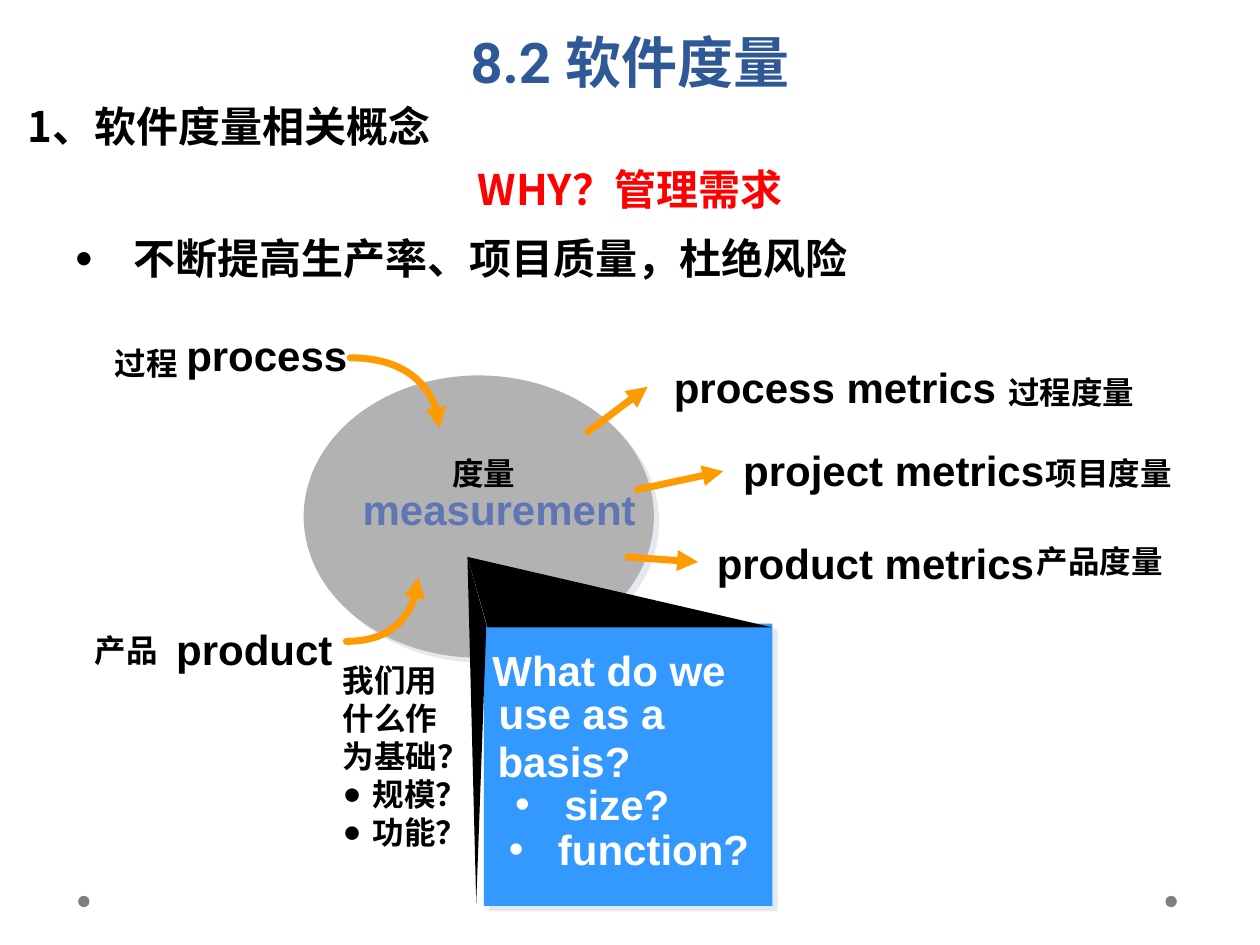
from lxml.etree import SubElement
from pptx import Presentation
from pptx.dml.color import RGBColor
from pptx.enum.shapes import MSO_CONNECTOR, MSO_SHAPE
from pptx.enum.text import MSO_ANCHOR, PP_ALIGN
from pptx.oxml.ns import qn
from pptx.util import Inches, Pt

BLACK = RGBColor(0, 0, 0)
WHITE = RGBColor(255, 255, 255)
RED = RGBColor(255, 0, 0)
NAVY = RGBColor(0x2F, 0x58, 0x97)
SLATE = RGBColor(0x60, 0x76, 0xB4)
ORANGE = RGBColor(0xFE, 0x9B, 0x03)
GRAY = RGBColor(0xB2, 0xB2, 0xB2)
DOT_GRAY = RGBColor(0x7F, 0x7F, 0x7F)
BLUE = RGBColor(0x33, 0x99, 0xFF)
SHADOW = "E4E9EF"
CHINESE_FONT = "Noto Sans CJK SC"

# Content: text, left, top, width, colour
ENGLISH_LABELS = [
    ("process", 1.38, 2.57, 1.48, BLACK),
    ("product", 1.3, 4.9, 1.44, BLACK),
    ("measurement", 2.78, 3.79, 2.37, SLATE),
    ("process metrics", 5.25, 2.82, 2.76, BLACK),
    ("project metrics", 5.8, 3.48, 2.59, BLACK),
    ("product metrics", 5.59, 4.22, 2.72, BLACK),
    ("What do we", 3.81, 5.07, 2.05, WHITE),
    ("use as a", 3.86, 5.41, 1.6, WHITE),
    ("basis?", 3.85, 5.79, 1.35, WHITE),
]
BASIS_BULLETS = [("size?", 3.81, 6.13, 1.65), ("function?", 3.76, 6.49, 2.3)]
CHINESE_LABELS = [
    ("过程", 0.91, 2.73),
    ("产品", 0.75, 5.01),
    ("度量", 3.59, 3.6),
    ("过程度量", 8, 2.96),
    ("项目度量", 8.3, 3.6),
    ("产品度量", 8.23, 4.3),
]
QUESTION_LINES = ["我们用", "什么作", "为基础？"]
QUESTION_BULLETS = ["规模？", "功能？"]

# Shapes, in inches
DOTS = [(9.25, 7.11), (0.62, 7.11)]
STRAIGHT_ARROWS = [
    ((4.65, 3.44), (5.14, 3.07)),
    ((5.04, 3.89), (5.74, 3.74)),
    ((4.96, 4.42), (5.54, 4.46)),
]
CURVED_ARROWS = [  # start, two control points, end
    [(2.78, 2.84), (3.17, 2.84), (3.49, 3.09), (3.49, 3.4)],
    [(2.75, 5.09), (3.07, 5.09), (3.32, 4.86), (3.32, 4.58)],
]
CALLOUT_SIDES = [
    [(3.71, 4.42), (6.13, 4.98), (3.87, 4.98)],
    [(3.71, 4.42), (3.78, 7.17), (3.86, 4.96)],
]

deck = Presentation()
deck.slide_width, deck.slide_height = Inches(10), Inches(7.5)
page = deck.slides.add_slide(deck.slide_layouts[5])
shapes = page.shapes


def style(para, size, color, font="Arial"):
    for span in para.runs:
        span.font.size, span.font.bold, span.font.name = Pt(size), True, font
        span.font.color.rgb = color
        SubElement(span._r.get_or_add_rPr(), qn("a:ea"), typeface=CHINESE_FONT)


def bullet(para, char, margin, hanging, percent=100):
    properties = para._p.get_or_add_pPr()
    properties.set("marL", str(Inches(margin)))
    properties.set("indent", str(-Inches(hanging)))
    SubElement(SubElement(properties, qn("a:buClr")), qn("a:srgbClr"),
               val=str(para.runs[0].font.color.rgb))
    SubElement(properties, qn("a:buSzPct"), val=str(percent * 1000))
    SubElement(properties, qn("a:buFont"), typeface="Arial")
    SubElement(properties, qn("a:buChar"), char=char)


def add_text(lines, left, top, width, height, size, color, font="Arial",
             wrap=False, inset=True):
    box = shapes.add_textbox(Inches(left), Inches(top), Inches(width), Inches(height))
    frame = box.text_frame
    frame.word_wrap = wrap
    if not inset:
        frame.margin_left = frame.margin_right = 0
        frame.margin_top = frame.margin_bottom = 0
    frame.text = "\n".join(lines)
    for para in frame.paragraphs:
        style(para, size, color, font)
    return frame.paragraphs


def paint(shape, color):
    shape.shadow.inherit = False
    shape.fill.solid()
    shape.fill.fore_color.rgb = color
    shape.line.fill.background()


def add_filled(kind, left, top, width, height, color, shadow=False):
    shape = shapes.add_shape(kind, Inches(left), Inches(top), Inches(width), Inches(height))
    paint(shape, color)
    if shadow:
        effects = shape._element.spPr.find(qn("a:effectLst"))
        outer = SubElement(effects, qn("a:outerShdw"), blurRad="0", dist=str(Pt(4.2)),
                           dir="2700000", algn="ctr", rotWithShape="0")
        SubElement(outer, qn("a:srgbClr"), val=SHADOW)


def make_arrow(shape):
    shape.line.color.rgb = ORANGE
    shape.line.width = Pt(4)
    SubElement(shape.line._get_or_add_ln(), qn("a:tailEnd"), type="triangle")


def outline(points, close):
    start, *rest = [(Inches(x), Inches(y)) for x, y in points]
    builder = shapes.build_freeform(*start, scale=1.0)
    builder.add_line_segments(rest, close=close)
    return builder.convert_to_shape()


# Footer dots
for left, top in DOTS:
    add_filled(MSO_SHAPE.OVAL, left, top, 0.09, 0.09, DOT_GRAY)

# Title and headings
title = shapes.title
title.left, title.top, title.width, title.height = map(Inches, (0.5, 1.13, 9, 0.62))
title.text_frame.text = "WHY？管理需求"
title.text_frame.vertical_anchor = MSO_ANCHOR.BOTTOM
para = title.text_frame.paragraphs[0]
para.alignment, para.line_spacing = PP_ALIGN.CENTER, Pt(58)
style(para, 24, RED, CHINESE_FONT)

para = add_text(["8.2 软件度量"], 0.5, -0.1, 9, 0.94, 32, NAVY, "Roboto", wrap=True)[0]
para.alignment, para.line_spacing = PP_ALIGN.CENTER, Pt(58)
para = add_text(["1、软件度量相关概念"], 0.12, 0.63, 9.02, 0.62, 24, BLACK,
                CHINESE_FONT, wrap=True)[0]
para.line_spacing = 1.3
para = add_text(["不断提高生产率、项目质量，杜绝风险"], 0.5, 1.8, 9, 0.7, 24, BLACK,
                "Roboto", wrap=True)[0]
bullet(para, "•", 0.46, 0.46, 117)

# Measurement ellipse and callout
add_filled(MSO_SHAPE.OVAL, 2.41, 2.98, 2.78, 2.24, GRAY, shadow=True)
add_filled(MSO_SHAPE.RECTANGLE, 3.84, 4.95, 2.29, 2.24, BLUE, shadow=True)
for points in CALLOUT_SIDES:
    paint(outline(points, close=True), BLACK)

# Arrows
for start, end in STRAIGHT_ARROWS:
    arrow = shapes.add_connector(MSO_CONNECTOR.STRAIGHT, *map(Inches, start + end))
    make_arrow(arrow)
    SubElement(arrow._element.spPr, qn("a:effectLst"))
for points in CURVED_ARROWS:
    arrow = outline([points[0], points[-1]], close=False)
    arrow.shadow.inherit = False
    arrow.fill.background()
    make_arrow(arrow)
    arrow.line._get_or_add_ln().set("cap", "rnd")
    segment = next(arrow._element.iter(qn("a:lnTo")))
    segment.tag = qn("a:cubicBezTo")
    segment.remove(segment[0])
    for x, y in points[1:]:
        SubElement(segment, qn("a:pt"), x=str(Inches(x) - arrow.left),
                   y=str(Inches(y) - arrow.top))

# Labels
for text, left, top, width, color in ENGLISH_LABELS:
    add_text([text], left, top, width, 0.5, 24, color)
for text, left, top, width in BASIS_BULLETS:
    bullet(add_text([text], left, top, width, 0.5, 24, WHITE)[0], "•", 0.57, 0.39)
for text, left, top in CHINESE_LABELS:
    add_text([text], left, top, len(text) / 4, 0.3, 18, BLACK, inset=False)
lines = add_text(QUESTION_LINES + QUESTION_BULLETS, 2.72, 5.25, 1, 1.5, 18, BLACK, inset=False)
for para in lines[len(QUESTION_LINES):]:
    bullet(para, "●", 0.24, 0.24)

deck.save("out.pptx")
